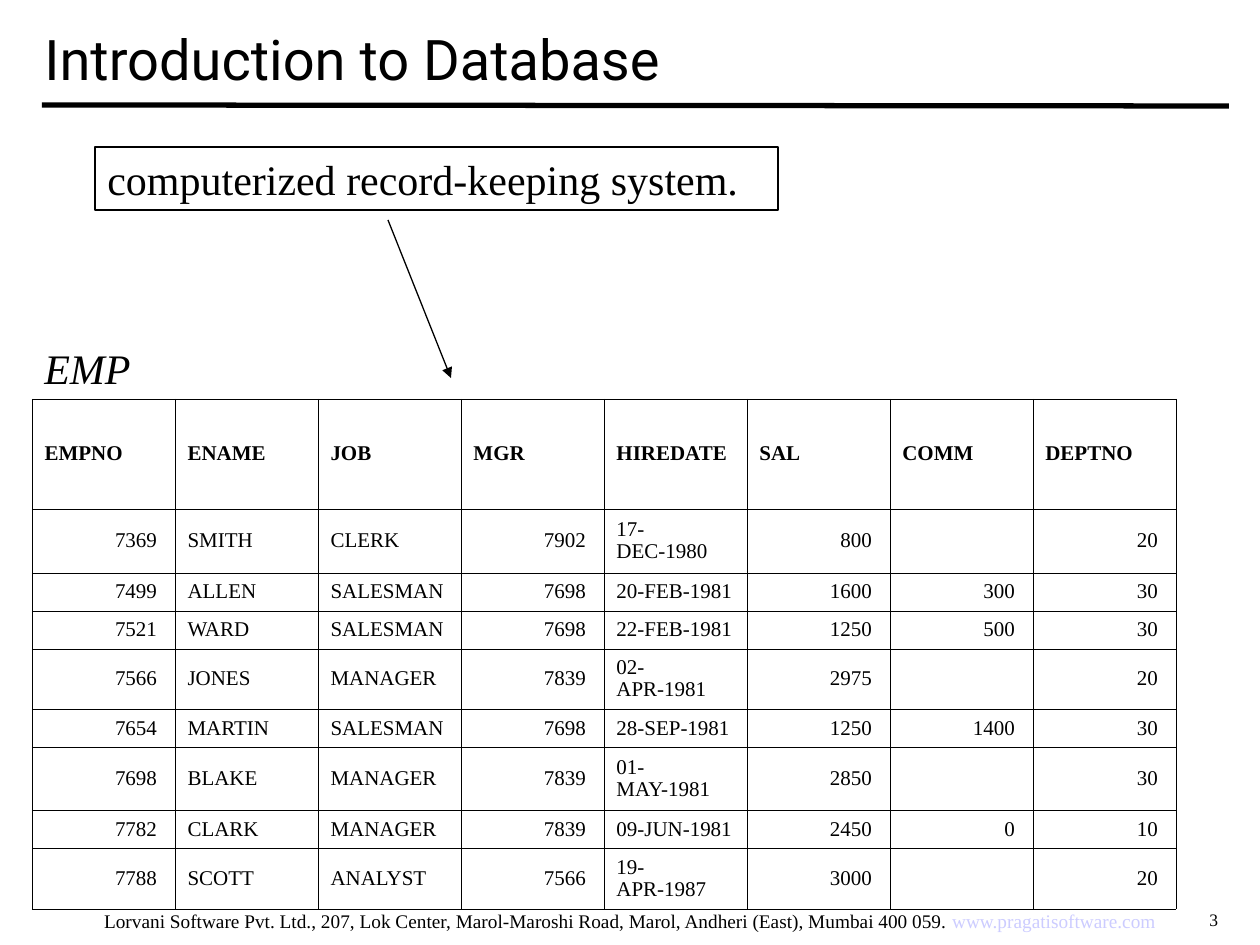
from lxml.etree import SubElement
from pptx import Presentation
from pptx.dml.color import RGBColor
from pptx.enum.shapes import MSO_CONNECTOR, MSO_SHAPE
from pptx.enum.text import MSO_ANCHOR as ANCHOR, PP_ALIGN as ALIGN
from pptx.oxml.ns import qn
from pptx.util import Emu, Pt

COLORS = {"ink": "000000", "link": "CCCCFF"}
SERIF = "Times New Roman"
COL_WIDTH = 143
ROW_HEIGHTS = [110, 64, 38, 38, 38, 38, 63, 38, 38]
NUMERIC = {"EMPNO", "MGR", "SAL", "COMM", "DEPTNO"}
HEADERS = ["EMPNO", "ENAME", "JOB", "MGR", "HIREDATE", "SAL", "COMM", "DEPTNO"]
EMPLOYEES = [
    ["7369", "SMITH", "CLERK", "7902", "17-DEC-1980", "800", "", "20"],
    ["7499", "ALLEN", "SALESMAN", "7698", "20-FEB-1981", "1600", "300", "30"],
    ["7521", "WARD", "SALESMAN", "7698", "22-FEB-1981", "1250", "500", "30"],
    ["7566", "JONES", "MANAGER", "7839", "02-APR-1981", "2975", "", "20"],
    ["7654", "MARTIN", "SALESMAN", "7698", "28-SEP-1981", "1250", "1400", "30"],
    ["7698", "BLAKE", "MANAGER", "7839", "01-MAY-1981", "2850", "", "30"],
    ["7782", "CLARK", "MANAGER", "7839", "09-JUN-1981", "2450", "0", "10"],
    ["7788", "SCOTT", "ANALYST", "7566", "19-APR-1987", "3000", "", "20"],
]


def px(n):
    """Turn whole pixels into EMU at 126 pixels to the inch."""
    return Emu(round(n * 914400 / 126))


def rgb(name):
    """Look up a named colour."""
    return RGBColor.from_string(COLORS[name])


def style_run(r, size, font=SERIF, color="ink", bold=False, italic=False):
    """Set the look of one run."""
    f = r.font
    f.name, f.size, f.bold, f.italic = font, Pt(size), bold, italic
    f.color.rgb = rgb(color)


def add_text(slide, box, text, size, anchor=ANCHOR.TOP, align=ALIGN.LEFT, **look):
    """Add a wrapped text box and return its paragraph."""
    tf = slide.shapes.add_textbox(*map(px, box)).text_frame
    tf.word_wrap = True
    tf.vertical_anchor = anchor
    p = tf.paragraphs[0]
    p.text = text
    p.alignment = align
    style_run(p.runs[0], size, **look)
    return p


def add_framed_text(slide, box, text, size):
    """Add an unfilled rectangle holding left-aligned text."""
    sp = slide.shapes.add_shape(MSO_SHAPE.RECTANGLE, *map(px, box))
    sp.shadow.inherit = False
    sp.fill.background()
    sp.line.color.rgb = rgb("ink")
    sp.line.width = Pt(1.5)
    tf = sp.text_frame
    tf.word_wrap = True
    tf.vertical_anchor = ANCHOR.TOP
    p = tf.paragraphs[0]
    p.text = text
    p.alignment = ALIGN.LEFT
    style_run(p.runs[0], size)


def add_line(slide, ends, width, arrow=False):
    """Add a straight line, with an arrowhead at its end on request."""
    cx = slide.shapes.add_connector(MSO_CONNECTOR.STRAIGHT, *map(px, ends))
    cx.line.color.rgb = rgb("ink")
    cx.line.width = Pt(width)
    if arrow:
        SubElement(cx.line._get_or_add_ln(), qn("a:tailEnd"), type="triangle")
    SubElement(cx._element.spPr, qn("a:effectLst"))


def set_borders(cell):
    """Draw a hairline on all four sides of a cell."""
    tc_pr = cell._tc.get_or_add_tcPr()
    for i, side in enumerate(("lnL", "lnR", "lnT", "lnB")):
        ln = tc_pr.makeelement(qn(f"a:{side}"), {"w": str(Pt(0.17))})
        fill = SubElement(ln, qn("a:solidFill"))
        SubElement(fill, qn("a:srgbClr"), val=COLORS["ink"])
        tc_pr.insert(i, ln)


def fill_cell(cell, text, header, numeric):
    """Write and format one table cell."""
    cell.fill.background()
    set_borders(cell)
    cell.vertical_anchor = ANCHOR.MIDDLE
    p = cell.text_frame.paragraphs[0]
    p.text = text
    p.line_spacing = 0.95
    if numeric and not header:
        p.alignment = ALIGN.RIGHT
        cell.margin_right = px(18)
    for r in p.runs:
        style_run(r, 12, bold=header)
    if not text:
        p._p.get_or_add_endParaRPr().set("sz", "1200")


def add_employee_table(slide, left, top):
    """Add the EMP table."""
    rows = [HEADERS] + EMPLOYEES
    size = COL_WIDTH * len(HEADERS), sum(ROW_HEIGHTS)
    table = slide.shapes.add_table(
        len(rows), len(HEADERS), px(left), px(top), *map(px, size)).table
    table.first_row = table.horz_banding = False
    for col in table.columns:
        col.width = px(COL_WIDTH)
    for i, (height, values) in enumerate(zip(ROW_HEIGHTS, rows)):
        table.rows[i].height = px(height)
        for j, value in enumerate(values):
            fill_cell(table.cell(i, j), value, i == 0, HEADERS[j] in NUMERIC)


def add_footer(slide):
    """Add the address line and the slide number."""
    p = add_text(
        slide, (0, 903, 1260, 37),
        "Lorvani Software Pvt. Ltd., 207, Lok Center, Marol-Maroshi Road, "
        "Marol, Andheri (East), Mumbai 400 059. ", 11, align=ALIGN.CENTER)
    r = p.add_run()
    r.text = "www.pragatisoftware.com"
    style_run(r, 11, color="link")
    add_text(slide, (1197, 903, 63, 34), "3", 10)


def main():
    """Build the slide and save it."""
    prs = Presentation()
    prs.slide_width, prs.slide_height = px(1260), px(945)
    slide = prs.slides.add_slide(prs.slide_layouts[6])
    add_line(slide, (42, 105, 1229, 106), 3)
    add_footer(slide)
    add_text(slide, (32, 0, 1197, 116), "Introduction to Database", 32,
             anchor=ANCHOR.MIDDLE, font="Roboto")
    add_framed_text(slide, (95, 147, 683, 63),
                    "computerized record-keeping system.", 24)
    add_line(slide, (388, 220, 451, 378), 0.75, arrow=True)
    add_employee_table(slide, 32, 399)
    add_text(slide, (32, 336, 189, 63), "EMP", 24, italic=True)
    prs.save("out.pptx")


if __name__ == "__main__":
    main()
